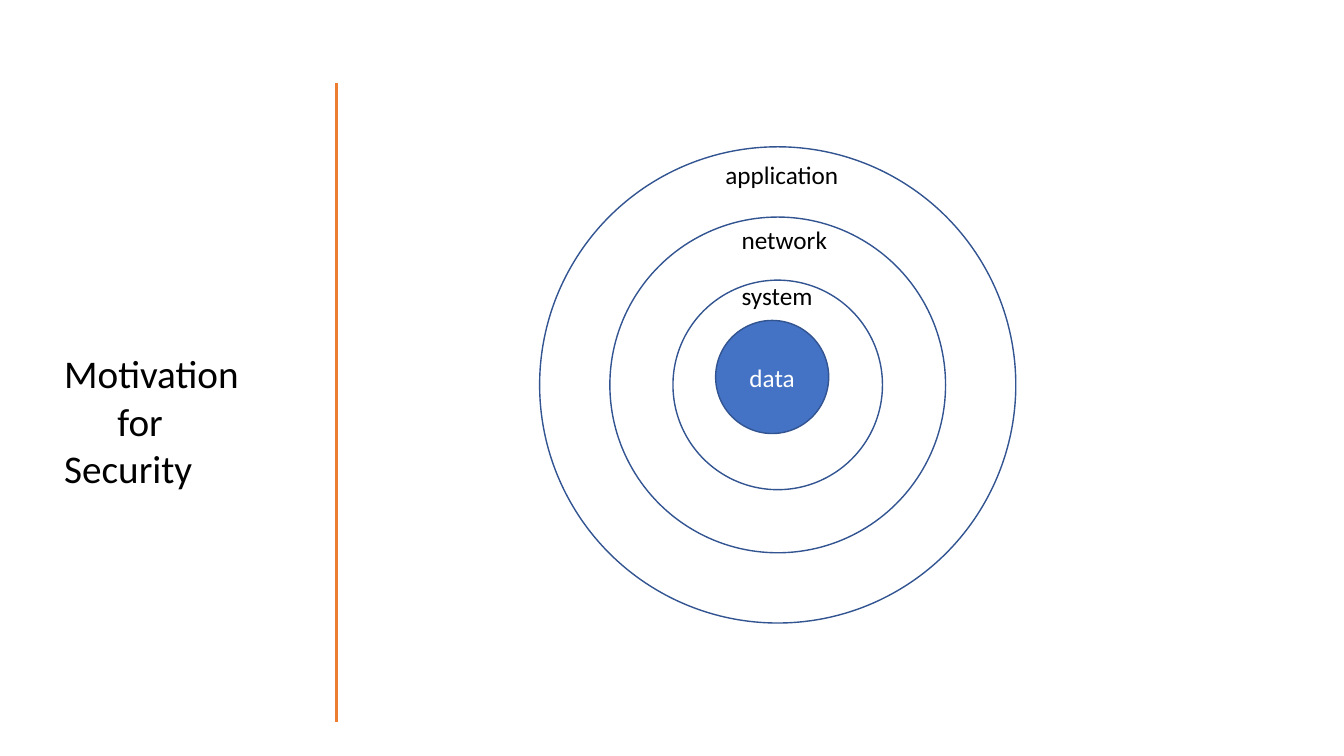
from lxml import etree
from pptx import Presentation
from pptx.dml.color import RGBColor
from pptx.enum.shapes import MSO_CONNECTOR, MSO_SHAPE
from pptx.enum.text import MSO_ANCHOR, MSO_AUTO_SIZE, PP_ALIGN
from pptx.oxml.ns import qn
from pptx.util import Cm, Pt

OVAL = MSO_SHAPE.OVAL
STRAIGHT = MSO_CONNECTOR.STRAIGHT
LEFT, CENTER = PP_ALIGN.LEFT, PP_ALIGN.CENTER
MIDDLE = MSO_ANCHOR.MIDDLE
GROW = MSO_AUTO_SIZE.SHAPE_TO_FIT_TEXT

COLORS = {
    "ink": "000000",
    "white": "FFFFFF",
    "blue": "4472C4",
    "edge": "325491",
    "accent": "ED7D31",
}


def color(name):
    return RGBColor.from_string(COLORS[name])


def write(frame, text, font="Calibri", size=18, ink="ink", align=LEFT, indents=None):
    """Fill a frame, one paragraph per line; indents maps line number to cm."""
    for i, line in enumerate(text.split("\n")):
        para = frame.paragraphs[0] if i == 0 else frame.add_paragraph()
        para.alignment = align
        if indents and i in indents:
            para._p.get_or_add_pPr().set("marL", str(Cm(indents[i])))
        run = para.add_run()
        run.text = line
        run.font.name = font
        run.font.size = Pt(size)
        run.font.color.rgb = color(ink)


class Board:
    """Holds the current slide and its line style."""

    def __init__(self, slide, edge="edge", width=1):
        self.slide = slide
        self.edge = edge
        self.width = width

    def text(self, x, y, w, h, text, wrap=True, **style):
        box = self.slide.shapes.add_textbox(Cm(x), Cm(y), Cm(w), Cm(h))
        box.text_frame.word_wrap = wrap
        box.text_frame.auto_size = GROW
        write(box.text_frame, text, **style)

    def circle(self, x, y, size, fill=None, text=None):
        """Draw a circle around the centre x, y."""
        disc = self.slide.shapes.add_shape(
            OVAL, Cm(x - size / 2), Cm(y - size / 2), Cm(size), Cm(size))
        disc.shadow.inherit = False
        disc.line.color.rgb = color(self.edge)
        disc.line.width = Pt(self.width)
        if fill:
            disc.fill.solid()
            disc.fill.fore_color.rgb = color(fill)
        else:
            disc.fill.background()
        if text:
            disc.text_frame.vertical_anchor = MIDDLE
            write(disc.text_frame, text, ink="white", align=CENTER)

    def rule(self, x, top, bottom, ink, width):
        line = self.slide.shapes.add_connector(
            STRAIGHT, Cm(x), Cm(top), Cm(x), Cm(bottom))
        line.line.color.rgb = color(ink)
        line.line.width = Pt(width)
        etree.SubElement(line._element.spPr, qn("a:effectLst"))


def main():
    deck = Presentation()
    deck.slide_width, deck.slide_height = Cm(33.87), Cm(19.05)
    board = Board(deck.slides.add_slide(deck.slide_layouts[6]))

    # Title and divider
    board.rule(8.47, 2.08, 18.19, "accent", 2.25)
    board.text(1.37, 8.69, 7.47, 3.84, "Motivation\nfor\nSecurity",
               size=28, indents={1: 1.34})

    # Core
    board.circle(19.46, 9.5, 2.85, fill="blue", text="data")

    # Rings: diameter, then the label with its left, top, width and wrap
    rings = [
        (8.46, "system", 18.44, 6.93, 2.31, False),
        (5.28, "network", 18.44, 5.54, 2.69, False),
        (12, "application", 18.03, 3.89, 3.61, True),
    ]
    for size, name, x, y, w, wrap in rings:
        board.circle(19.6, 9.7, size)
        board.text(x, y, w, 1.02, name, wrap=wrap)

    deck.save("out.pptx")


if __name__ == "__main__":
    main()
